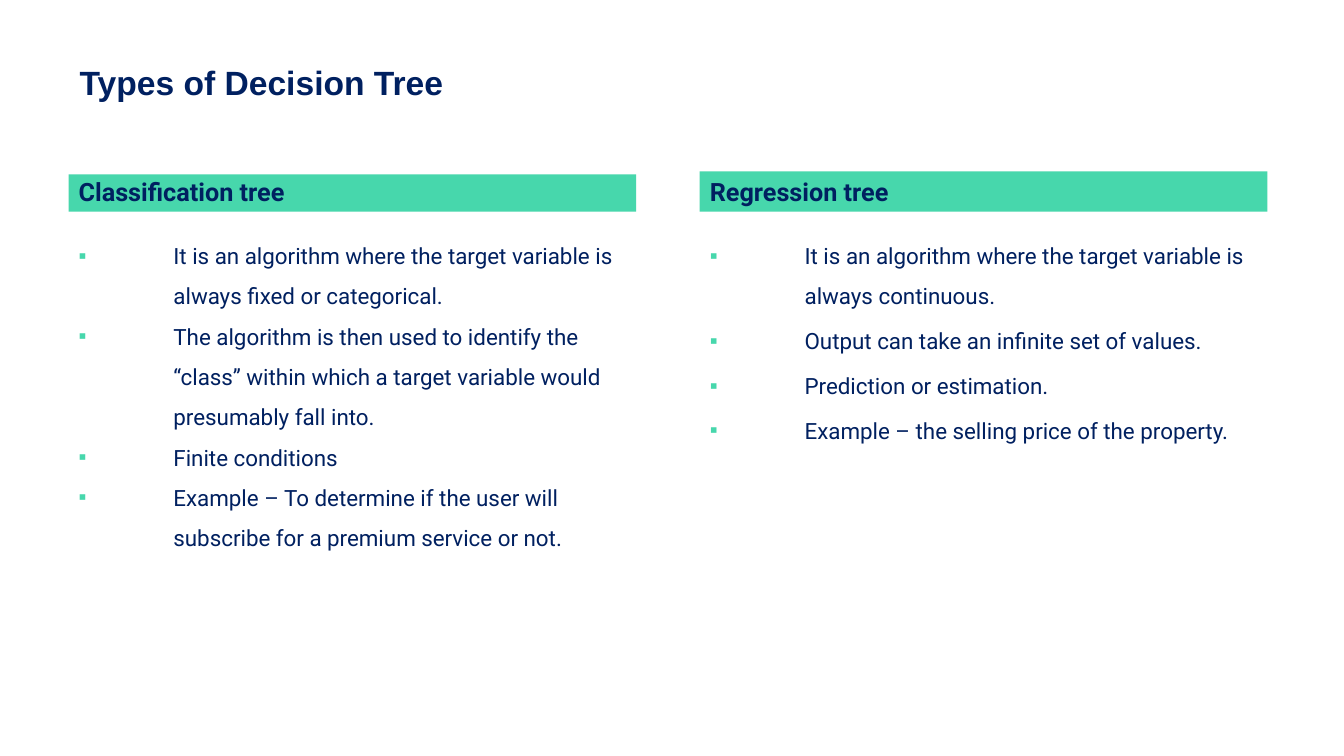
from lxml import etree
from pptx import Presentation
from pptx.dml.color import RGBColor
from pptx.enum import text
from pptx.oxml import ns
from pptx.util import Inches, Pt

NAVY = RGBColor(0x00, 0x20, 0x60)
GREEN = RGBColor(0x47, 0xD7, 0xAC)

COLUMN_WIDTH = 5.63
HEADING_BOTTOM = 2.1
LIST_TOP = 2.19
BULLET_INDENT = Inches(0.94)

# Heading, left, heading height, heading line spacing, list height, space after items, items
TREES = [
    ("Classification tree", 0.68, 0.37, 0.9, 3.32, 0, [
        "It is an algorithm where the target variable is always fixed or categorical.",
        "The algorithm is then used to identify the “class” within which a target "
        "variable would presumably fall into.",
        "Finite conditions",
        "Example – To determine if the user will subscribe for a premium service or not.",
    ]),
    ("Regression tree", 6.94, 0.4, 1.0, 2.27, 3.2, [
        "It is an algorithm where the target variable is always continuous.",
        "Output can take an infinite set of values.",
        "Prediction or estimation.",
        "Example – the selling price of the property.",
    ]),
]


def place(holder, left, top, width, height, anchor, inset_top):
    holder.left, holder.top = Inches(left), Inches(top)
    holder.width, holder.height = Inches(width), Inches(height)
    frame = holder.text_frame
    frame.word_wrap = True
    frame.auto_size = text.MSO_AUTO_SIZE.NONE
    frame.vertical_anchor = anchor
    frame.margin_left = frame.margin_right = Inches(0.1)
    frame.margin_top, frame.margin_bottom = Inches(inset_top), Inches(0.05)


def format_paragraph(paragraph, font_name, size, bold, line_spacing=1.0, space_after=0):
    paragraph.alignment = text.PP_ALIGN.LEFT
    paragraph.line_spacing = line_spacing
    paragraph.space_before = Pt(0)
    paragraph.space_after = Pt(space_after)
    for run in paragraph.runs:
        run.font.name = font_name
        run.font.size = Pt(size)
        run.font.bold = bold
        run.font.color.rgb = NAVY


def add_bullet(paragraph):
    properties = paragraph._p.get_or_add_pPr()
    properties.set("marL", str(BULLET_INDENT))
    properties.set("indent", str(-BULLET_INDENT))
    colour = etree.SubElement(properties, ns.qn("a:buClr"))
    etree.SubElement(colour, ns.qn("a:srgbClr"), val=str(GREEN))
    etree.SubElement(properties, ns.qn("a:buFont"), typeface="Arial")
    etree.SubElement(properties, ns.qn("a:buChar"), char="▪")


def fill_title(title, wording):
    place(title, 0.69, 0.53, COLUMN_WIDTH, 0.53, text.MSO_ANCHOR.TOP, 0.08)
    title.text_frame.text = wording
    format_paragraph(title.text_frame.paragraphs[0], "Arial", 24, True)


def fill_heading(heading, wording, left, height, line_spacing):
    place(heading, left, HEADING_BOTTOM - height, COLUMN_WIDTH, height,
          text.MSO_ANCHOR.BOTTOM, 0.05)
    heading.fill.solid()
    heading.fill.fore_color.rgb = GREEN
    heading.text_frame.text = wording
    format_paragraph(heading.text_frame.paragraphs[0], "Roboto", 18, True, line_spacing)


def fill_list(points, items, left, height, space_after):
    place(points, left, LIST_TOP, COLUMN_WIDTH, height, text.MSO_ANCHOR.TOP, 0.08)
    points.text_frame.text = "\n".join(items)
    for paragraph in points.text_frame.paragraphs:
        format_paragraph(paragraph, "Roboto", 16, False, 1.5, space_after)
        add_bullet(paragraph)


def main():
    deck = Presentation()
    deck.slide_width, deck.slide_height = Inches(13.33), Inches(7.5)

    # Comparison layout: a title, then a heading and a list for each column
    slide = deck.slides.add_slide(deck.slide_layouts.get_by_name("Comparison"))
    title, *columns = slide.placeholders
    fill_title(title, "Types of Decision Tree")

    # The two kinds of tree
    for heading, points, tree in zip(columns[::2], columns[1::2], TREES):
        name, left, heading_height, line_spacing, list_height, space_after, items = tree
        fill_heading(heading, name, left, heading_height, line_spacing)
        fill_list(points, items, left, list_height, space_after)

    deck.save("out.pptx")


if __name__ == "__main__":
    main()
